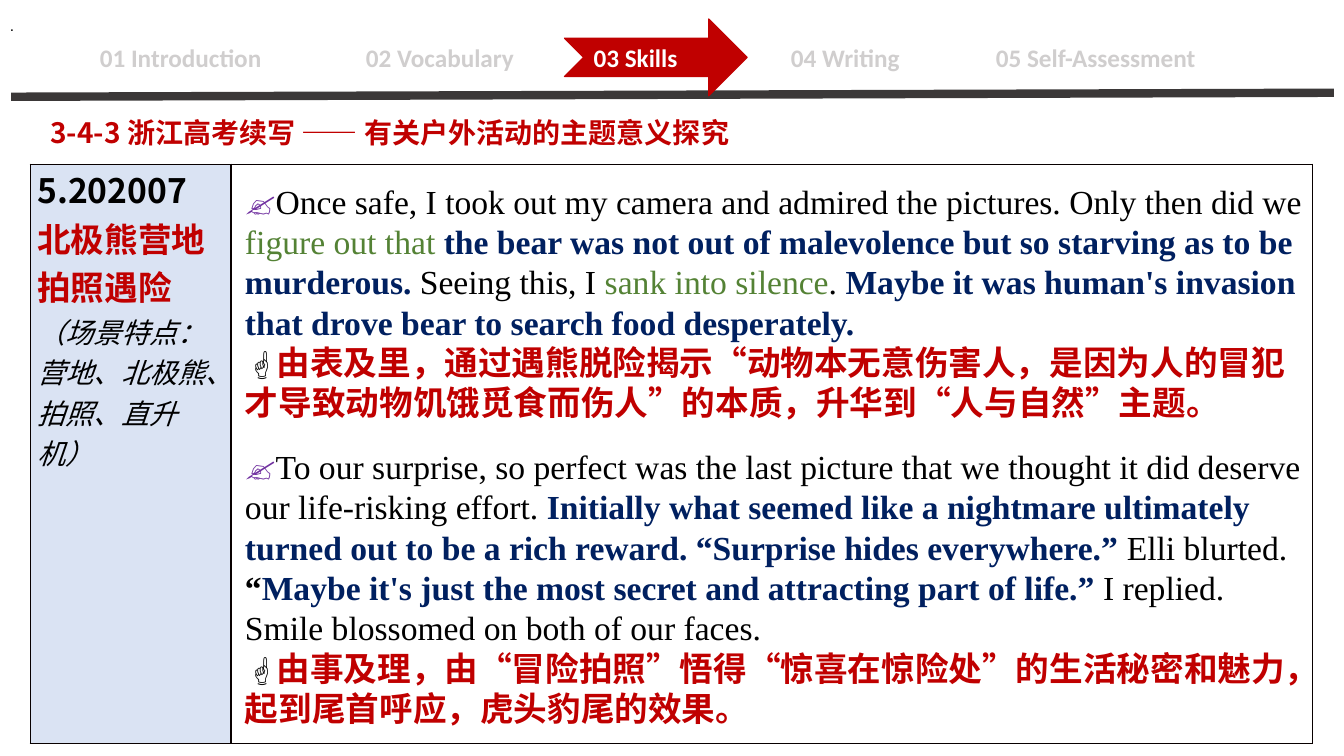
import pptx
import pptx.util
import pptx.oxml
import pptx.oxml.ns
import pptx.dml.color
import pptx.enum.text
import pptx.enum.shapes


class Theme:
    red, black, white = "C00000", "000000", "FFFFFF"
    navy, green, purple = "002060", "548235", "7030A0"
    pale, rule, panel, edge = "D0CECE", "3B3838", "DAE3F3", "080000"
    sans, serif, han, plain = "Calibri", "Times New Roman", "Noto Sans CJK SC", "Arial"
    large, mid, small, tiny = 24, 20, 18, 11
    line, gap = 28.8, 16.8


Pt = pptx.util.Pt
RGB = pptx.dml.color.RGBColor.from_string
Align = pptx.enum.text.PP_ALIGN
Anchor = pptx.enum.text.MSO_ANCHOR
Size = pptx.enum.text.MSO_AUTO_SIZE
Shape = pptx.enum.shapes.MSO_SHAPE

deck = pptx.Presentation()
deck.slide_width = pptx.util.Inches(13.33)
deck.slide_height = pptx.util.Inches(7.5)
slide = deck.slides.add_slide(deck.slide_layouts[1])
shapes = slide.shapes


def share(*parts):
    """Turn percentages, across and down in turn, into slide lengths."""
    sides = (deck.slide_width, deck.slide_height)
    return [round(part * sides[i % 2] / 100) for i, part in enumerate(parts)]


def say(para, text, face, size, color, bold=False, italic=False):
    """Add one run, with its face set for Latin and Chinese alike."""
    run = para.add_run()
    run.text = text
    font = run.font
    font.name, font.size, font.bold, font.italic = face, Pt(size), bold, italic
    font.color.rgb = RGB(color)
    east = pptx.oxml.parse_xml(f'<a:ea {pptx.oxml.ns.nsdecls("a")} typeface="{face}"/>')
    font._element.find(pptx.oxml.ns.qn("a:latin")).addnext(east)


# Top rule and tabs
rule = shapes.add_connector(pptx.enum.shapes.MSO_CONNECTOR.STRAIGHT, *share(0.83, 12.8, 99.25, 12.27))
rule.line.color.rgb = RGB(Theme.rule)
rule.line.width = Pt(6)
rule._element.spPr.append(pptx.oxml.parse_xml(f'<a:effectLst {pptx.oxml.ns.nsdecls("a")}/>'))

tabs = [
    (7.43, "01 Introduction"),
    (27.23, "02 Vocabulary"),
    (58.85, "04 Writing"),
    (74.1, "05 Self-Assessment"),
]
for left, label in tabs:
    frame = shapes.add_textbox(*share(left, 4.2, 18, 6.67)).text_frame
    frame.word_wrap = True
    frame.margin_left = frame.margin_right = 0
    frame.vertical_anchor = Anchor.MIDDLE
    say(frame.paragraphs[0], label, Theme.sans, Theme.small, Theme.pale, bold=True)

arrow = shapes.add_shape(Shape.NOTCHED_RIGHT_ARROW, *share(42.01, 2.53, 13.58, 10.13))
arrow.shadow.inherit = False
arrow.fill.solid()
arrow.fill.fore_color.rgb = arrow.line.color.rgb = RGB(Theme.red)
arrow.line.width = Pt(1)
arrow.text_frame.vertical_anchor = Anchor.MIDDLE
para = arrow.text_frame.paragraphs[0]
para.alignment = Align.LEFT
say(para, "03 Skills", Theme.sans, Theme.small, Theme.white, bold=True)

dot = shapes.add_textbox(*share(0, 1.47, 2.2, 3.87)).text_frame
dot.vertical_anchor = Anchor.MIDDLE
say(dot.paragraphs[0], ".", Theme.plain, Theme.tiny, Theme.black)

# Title
title = shapes.title
title.left, title.top, title.width, title.height = share(3, 14.67, 95.8, 5.87)
frame = title.text_frame
frame.auto_size = Size.NONE
frame.vertical_anchor = Anchor.TOP
para = frame.paragraphs[0]
para.alignment = Align.LEFT
say(para, "3-4-3 浙江高考续写 —— 有关户外活动的主题意义探究", Theme.han, Theme.mid, Theme.red, bold=True)

# Frame table with the topic on the left
table = shapes.add_table(1, 2, *share(2.25, 21.73, 95.42, 76.67)).table
table.first_row = table.horz_banding = False
for col, width in zip(table.columns, (14.93, 80.49)):
    col.width = share(width)[0]
for cell in table.iter_cells():
    props = cell._tc.get_or_add_tcPr()
    for side in "LRTB":
        props.append(pptx.oxml.parse_xml(
            f'<a:ln{side} {pptx.oxml.ns.nsdecls("a")} w="12700"><a:solidFill>'
            f'<a:srgbClr val="{Theme.edge}"/></a:solidFill></a:ln{side}>'))
    cell.fill.background()

topic = table.cell(0, 0)
topic.fill.solid()
topic.fill.fore_color.rgb = RGB(Theme.panel)
topic.margin_left = topic.margin_right = pptx.util.Inches(0.07)
topic.margin_top = topic.margin_bottom = 0
notes = [
    ("5.202007", Theme.large, Theme.black, True, False),
    ("北极熊营地拍照遇险", Theme.large, Theme.red, True, False),
    ("（场景特点：营地、北极熊、拍照、直升机）", Theme.mid, Theme.black, False, True),
]
for i, (text, *style) in enumerate(notes):
    frame = topic.text_frame
    para = frame.add_paragraph() if i else frame.paragraphs[0]
    say(para, text, Theme.han, *style)

# Sample endings, each followed by its comment
plain = (Theme.serif, Theme.large, Theme.black)
strong = (Theme.serif, Theme.large, Theme.navy, True)
phrase = (Theme.serif, Theme.large, Theme.green)
pen = ("✍", Theme.serif, Theme.large, Theme.purple)
hand = ("☝", *plain, True)
remark = (Theme.han, Theme.large, Theme.red, True)
texts = [
    [
        pen,
        ("Once safe, I took out my camera and admired the pictures. Only then did we ", *plain),
        ("figure out that ", *phrase),
        ("the bear was not out of malevolence but so starving as to be murderous. ", *strong),
        ("Seeing this, I ", *plain),
        ("sank into silence", *phrase),
        (". ", *plain),
        ("Maybe it was human's invasion that drove bear to search food desperately.", *strong),
    ],
    [
        hand,
        ("由表及里，通过遇熊脱险揭示“动物本无意伤害人，是因为人的冒犯才导致动物饥饿觅食而伤人”的本质，"
         "升华到“人与自然”主题。", *remark),
    ],
    [
        pen,
        ("To our surprise, so perfect was the last picture that we thought it did deserve "
         "our life-risking effort. ", *plain),
        ("Initially what seemed like a nightmare ultimately turned out to be a rich reward. "
         "“Surprise hides everywhere.”", *strong),
        (" Elli blurted. ", *plain),
        ("“", *plain, True),
        ("Maybe it's just the most secret and attracting part of life.”", *strong),
        (" I replied. Smile blossomed on both of our faces.", *plain),
    ],
    [
        hand,
        ("由事及理，由“冒险拍照”悟得“惊喜在惊险处”的生活秘密和魅力，起到尾首呼应，虎头豹尾的效果。", *remark),
    ],
]
body = slide.placeholders[1]
body.left, body.top, body.width, body.height = share(17.48, 23.2, 80.2, 74.53)
frame = body.text_frame
frame.auto_size = Size.NONE
for i, runs in enumerate(texts):
    para = frame.add_paragraph() if i else frame.paragraphs[0]
    props = para._p.get_or_add_pPr()
    props.set("marL", "0")
    props.set("indent", "0")
    props.append(pptx.oxml.parse_xml(f'<a:buNone {pptx.oxml.ns.nsdecls("a")}/>'))
    para.line_spacing = Pt(Theme.line)
    para.space_before = Pt(Theme.gap if i == 2 else 0)
    for run in runs:
        say(para, *run)

deck.save("out.pptx")
